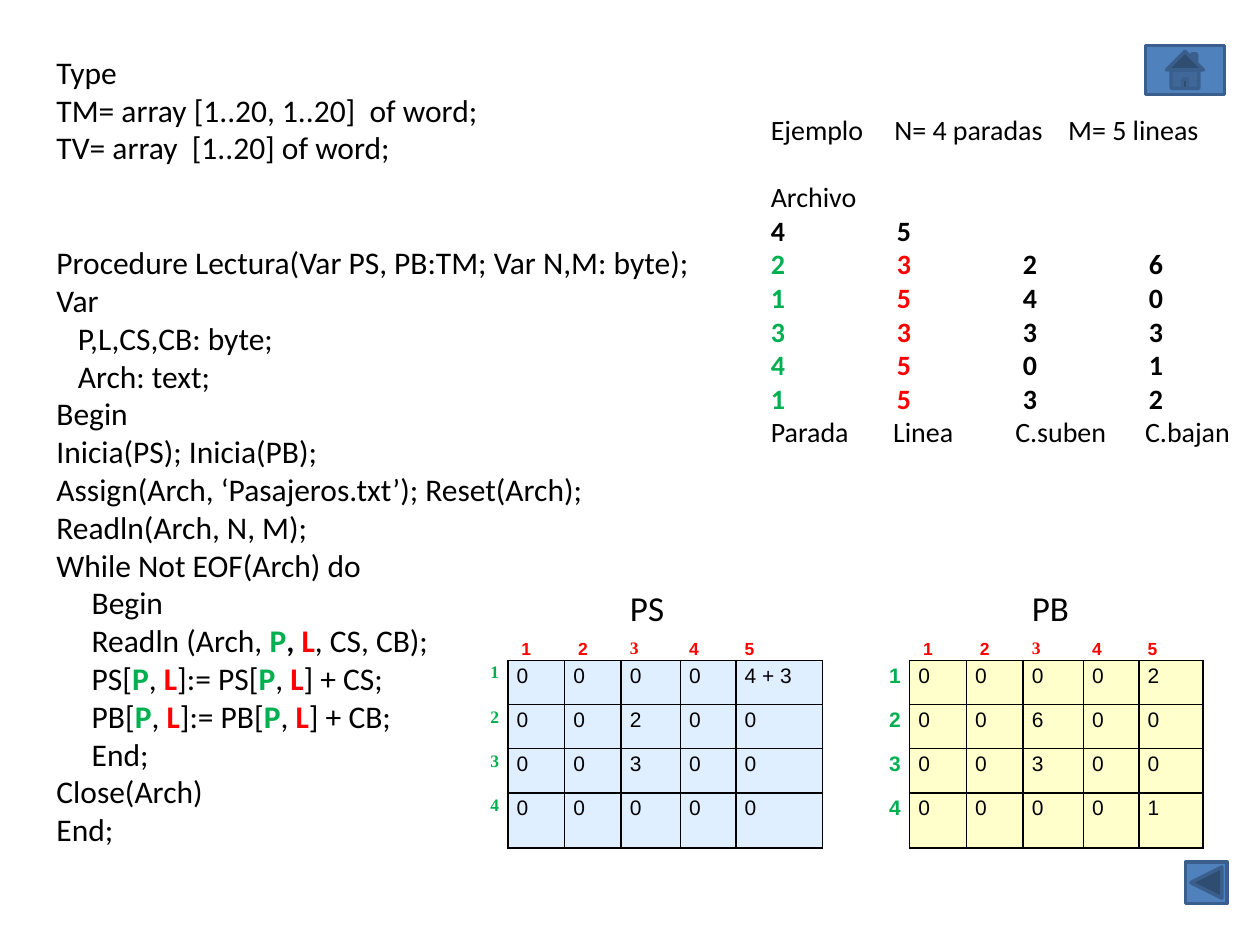
from lxml import etree
from pptx import Presentation
from pptx.dml.color import RGBColor
from pptx.enum import shapes, text
from pptx.oxml import ns
from pptx.util import Inches, Pt

COLORS = {"black": "000000", "green": "00B050", "red": "FF0000", "blue": "4F81BD",
          "outline": "3A5F8C", "boarding": "99CCFF", "alighting": "FFFFCC"}
NO_GRID_STYLE = "{2D5ABB26-0587-4C30-8999-92F81FD0307C}"

# Content: a run is plain text or (text, color, bold)
P, L = ("P", "green", True), ("L", "red", True)
BLOCK, VARS = 0.28, 0.17
CODE = [  # (runs, indent in inches)
    (["Type"], 0),
    (["TM= array [1..20, 1..20]  of word;"], 0),
    (["TV= array  [1..20] of word;"], 0),
    (["Procedure Lectura(Var PS, PB:TM; Var N,M: byte);"], 0),
    (["Var"], 0),
    (["P,L,CS,CB: byte;"], VARS),
    (["Arch: text;"], VARS),
    (["Begin"], 0),
    (["Inicia(PS); Inicia(PB);"], 0),
    (["Assign(Arch, ‘Pasajeros.txt’); Reset(Arch);"], 0),
    (["Readln(Arch, N, M);"], 0),
    (["While Not EOF(Arch) do"], 0),
    (["Begin"], BLOCK),
    (["Readln (Arch, ", P, (", ", "black", True), L, ", CS, CB);"], BLOCK),
    (["PS[", P, ", ", L, "]:= PS[", P, ", ", L, "] + CS;"], BLOCK),
    (["PB[", P, ", ", L, "]:= PB[", P, ", ", L, "] + CB;"], BLOCK),
    (["End;"], BLOCK),
    (["Close(Arch)"], 0),
    (["End;"], 0),
]
CODE_GAPS = {3: 44}  # line index: points before

RECORDS = [(2, 3, 2, 6), (1, 5, 4, 0), (3, 3, 3, 3), (4, 5, 0, 1), (1, 5, 3, 2)]
EVEN_TABS = (1, 2, 3)
EXAMPLE = [  # (runs, tab stops in inches)
    (["Ejemplo\tN= 4 paradas\tM= 5 lineas"], (0.98, 2.36)),
    (["Archivo"], ()),
    ([("4\t5", "black", True)], EVEN_TABS),
    *[([(f"{stop}\t", "green", True), (str(line), "red", True),
        (f"\t{up}\t{down}", "black", True)], EVEN_TABS)
      for stop, line, up, down in RECORDS],
    (["Parada\tLinea\tC.suben\tC.bajan"], (0.97, 1.94, 2.97)),
]
EXAMPLE_GAPS = {1: 19.5}

LINES = [" 1", " 2", "3", "4", "5"]
MATRICES = [
    {"name": "PS", "column": 0, "title_column": 3, "label_font": "Times New Roman",
     "fill": "boarding", "alpha": 30,
     "values": [[0, 0, 0, 0, "4 + 3"], [0, 0, 2, 0, 0], [0, 0, 3, 0, 0], [0] * 5]},
    {"name": "PB", "column": 6, "title_column": 9, "label_font": "Arial",
     "fill": "alighting", "alpha": 100,
     "values": [[0, 0, 0, 0, 2], [0, 0, 6, 0, 0], [0, 0, 3, 0, 0], [0, 0, 0, 0, 1]]},
]
COLUMNS = [0.45, 0.45, 0.45, 0.47, 0.44, 0.69, 0.69, 0.45, 0.45, 0.48, 0.44, 0.51]
ROWS = [0.43, 0.18, 0.35, 0.35, 0.35, 0.44]

BUTTONS = [
    (shapes.MSO_SHAPE.ACTION_BUTTON_BACK_OR_PREVIOUS, (9.41, 6.84, 0.33, 0.33)),
    (shapes.MSO_SHAPE.ACTION_BUTTON_HOME, (9.09, 0.36, 0.63, 0.39)),
]


def rgb(name):
    return RGBColor.from_string(COLORS[name])


def add_run(paragraph, words, size, font="Calibri", color="black", bold=False):
    run = paragraph.add_run()
    run.text = words
    for key, value in {"size": Pt(size), "name": font, "bold": bold}.items():
        setattr(run.font, key, value)
    run.font.color.rgb = rgb(color)


def add_text(slide, box, lines, size, gaps):
    """Fill a text box; each line is (runs, indent, tab stops)."""
    frame = slide.shapes.add_textbox(*map(Inches, box)).text_frame
    frame.word_wrap = True
    frame.auto_size = text.MSO_AUTO_SIZE.SHAPE_TO_FIT_TEXT
    for index, (runs, indent, tabs) in enumerate(lines):
        paragraph = frame.add_paragraph() if index else frame.paragraphs[0]
        paragraph.space_before = Pt(gaps.get(index, 0))
        properties = paragraph._p.get_or_add_pPr()
        properties.set("marL", str(Inches(indent)))
        if tabs:
            tab_list = etree.SubElement(properties, ns.qn("a:tabLst"))
            for stop in tabs:
                etree.SubElement(tab_list, ns.qn("a:tab"), pos=str(Inches(stop)), algn="l")
        for run in runs:
            words, color, bold = (run, "black", False) if isinstance(run, str) else run
            add_run(paragraph, words, size, color=color, bold=bold)


def set_borders(cell, sides):
    properties = cell._tc.get_or_add_tcPr()
    for side in "LRTB":
        line = etree.SubElement(properties, ns.qn(f"a:ln{side}"), w=str(Pt(1)))
        if side in sides:
            fill = etree.SubElement(line, ns.qn("a:solidFill"))
            etree.SubElement(fill, ns.qn("a:srgbClr"), val=COLORS["black"])
        else:
            etree.SubElement(line, ns.qn("a:noFill"))


def fill_cell(cell, words, size, align=text.PP_ALIGN.JUSTIFY, **style):
    paragraph = cell.text_frame.paragraphs[0]
    for key, value in {"alignment": align, "line_spacing": 1.15, "space_after": Pt(10)}.items():
        setattr(paragraph, key, value)
    add_run(paragraph, str(words), size, **style)


def add_matrix(table, matrix):
    first = matrix["column"]
    fill_cell(table.cell(0, matrix["title_column"]), matrix["name"], 20)
    for offset, label in enumerate(LINES, 1):
        font = "Times New Roman" if label == "3" else "Arial"
        fill_cell(table.cell(1, first + offset), label, 10, font=font, color="red", bold=True)
    for row, values in enumerate(matrix["values"], 2):
        fill_cell(table.cell(row, first), row - 1, 10 if first == 0 else 12,
                  text.PP_ALIGN.RIGHT, font=matrix["label_font"], color="green", bold=True)
        for column, value in enumerate(values, first + 1):
            cell = table.cell(row, column)
            fill_cell(cell, value, 12, font="Arial")
            cell.fill.solid()
            cell.fill.fore_color.rgb = rgb(matrix["fill"])
            if matrix["alpha"] < 100:
                color = cell._tc.tcPr.find(ns.qn("a:solidFill"))[0]
                etree.SubElement(color, ns.qn("a:alpha"), val=str(matrix["alpha"] * 1000))


def add_tables(slide):
    box = (3.58, 4.62, sum(COLUMNS), sum(ROWS))
    table = slide.shapes.add_table(len(ROWS), len(COLUMNS), *map(Inches, box)).table
    table.first_row = table.horz_banding = False
    table._tbl.tblPr.find(ns.qn("a:tableStyleId")).text = NO_GRID_STYLE
    for parts, key, sizes in ((table.columns, "width", COLUMNS), (table.rows, "height", ROWS)):
        for part, size in zip(parts, sizes):
            setattr(part, key, Inches(size))

    label_columns = [matrix["column"] for matrix in MATRICES]
    for row in range(len(ROWS)):
        for column in range(len(COLUMNS)):
            cell = table.cell(row, column)
            cell.margin_left = cell.margin_right = Inches(0.07)
            cell.margin_top = cell.margin_bottom = 0
            is_label = column in label_columns
            if row < 2:
                sides = "B" if row == 1 and not is_label else ""
            else:
                sides = ("LR" if column else "R") if is_label else "LRTB"
            set_borders(cell, sides)

    for matrix in MATRICES:
        add_matrix(table, matrix)

    # Small type in the empty cells keeps the header rows low
    for cell in table.iter_cells():
        if not cell.text_frame.text:
            etree.SubElement(cell.text_frame.paragraphs[0]._p, ns.qn("a:endParaRPr"), sz="1000")


def main():
    presentation = Presentation()
    presentation.slide_width, presentation.slide_height = Inches(10), Inches(7.5)
    slide = presentation.slides.add_slide(presentation.slide_layouts[6])

    # Program listing
    add_text(slide, (0.35, 0.37, 7.8, 6.46),
             [(runs, indent, ()) for runs, indent in CODE], 18, CODE_GAPS)

    # Navigation buttons
    for kind, box in BUTTONS:
        button = slide.shapes.add_shape(kind, *map(Inches, box))
        button.shadow.inherit = False
        button.fill.solid()
        button.fill.fore_color.rgb = rgb("blue")
        button.line.color.rgb = rgb("outline")
        button.line.width = Pt(2)

    # Example data file
    add_text(slide, (6.02, 0.84, 3.87, 2.79),
             [(runs, 0, tabs) for runs, tabs in EXAMPLE], 16, EXAMPLE_GAPS)

    # Resulting matrices
    add_tables(slide)
    presentation.save("out.pptx")


if __name__ == "__main__":
    main()
